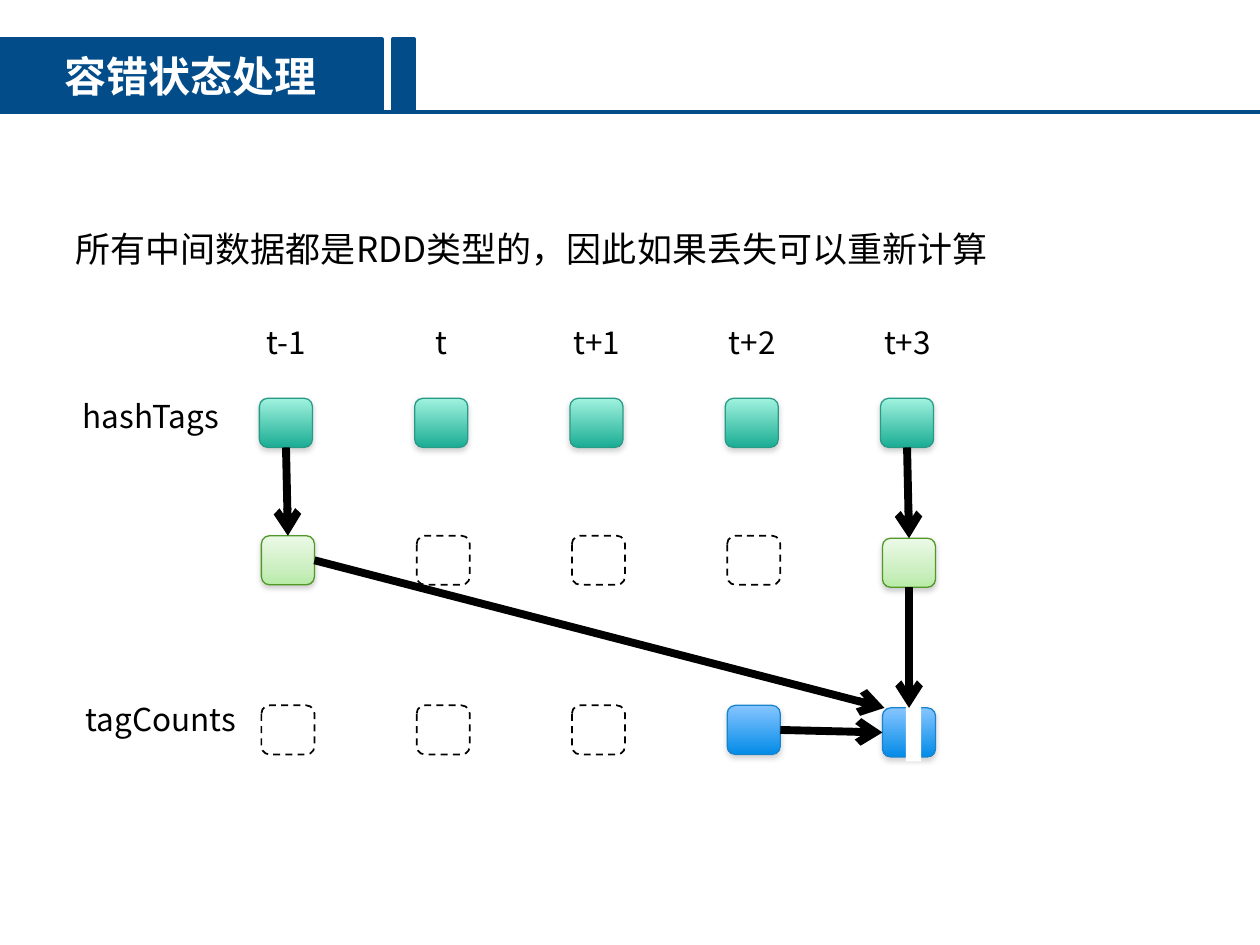
"""Build the slide on recomputing lost RDD state in a tag-counting stream."""
from copy import deepcopy
from dataclasses import dataclass

from lxml.etree import SubElement
from pptx import Presentation
from pptx.dml.color import RGBColor as RGB
from pptx.enum.dml import MSO_LINE as Dash
from pptx.enum.shapes import MSO_CONNECTOR as Conn, MSO_SHAPE as Shape
from pptx.enum.text import MSO_ANCHOR as Anchor, MSO_AUTO_SIZE as AutoSize, PP_ALIGN as Align
from pptx.oxml.ns import qn
from pptx.util import Cm, Pt


@dataclass(frozen=True)
class Theme:
    font: str = "Noto Sans CJK SC"
    navy: str = "024C89"
    black: str = "000000"
    white: str = "FFFFFF"
    shadow: str = "808080"
    title: int = 24
    body: int = 20
    label: int = 18


T = Theme()
BLOCKS = {
    "teal": ("289B88", 35, [(0, "A0F2DE"), (1, "1BAD94")]),
    "green": ("529827", 38, [(0, "EBFAE7"), (0.65, "CDEFC2"), (1, "B7EBA7")]),
    "blue": ("1884CD", 35, [(0, "86C5FF"), (1, "038BE7")]),
}


def add_run(p, text, size, color, bold=False):
    r = p.add_run()
    r.text = text
    r.font.name, r.font.size, r.font.bold = T.font, Pt(size), bold
    r.font.color.rgb = RGB.from_string(color)
    SubElement(r.font._element, qn("a:ea"), typeface=T.font)


def add_line(x1, y1, x2, y2, color, width):
    line = s.shapes.add_connector(Conn.STRAIGHT, Cm(x1), Cm(y1), Cm(x2), Cm(y2))
    line.line.color.rgb = RGB.from_string(color)
    line.line.width = Pt(width)
    SubElement(line._element.spPr, qn("a:effectLst"))
    return line


prs = Presentation()
prs.slide_width, prs.slide_height = Cm(25.4), Cm(19.05)
s = prs.slides.add_slide(prs.slide_layouts[1])

title, body = s.placeholders
title.left, title.top, title.width, title.height = Cm(0), Cm(0.79), Cm(7.7), Cm(1.47)
title.fill.solid()
title.fill.fore_color.rgb = RGB.from_string(T.navy)
title.line.color.rgb = RGB.from_string(T.navy)
title.line.width = Pt(2)
tf = title.text_frame
tf.auto_size, tf.vertical_anchor = AutoSize.NONE, Anchor.MIDDLE
p = tf.paragraphs[0]
p.alignment = Align.CENTER
add_run(p, "容错状态处理", T.title, T.white, True)

body.left, body.top, body.width, body.height = Cm(1.27), Cm(4.45), Cm(23.77), Cm(1.8)
tf = body.text_frame
tf.auto_size = AutoSize.NONE
p = tf.paragraphs[0]
pPr = p._p.get_or_add_pPr()
pPr.set("marL", "0")
pPr.set("indent", "0")
SubElement(pPr, qn("a:buNone"))
p.space_before = Pt(0)
add_run(p, "所有中间数据都是RDD类型的，因此如果丢失可以重新计算", T.body, T.black)

add_line(0, 2.26, 25.4, 2.26, T.navy, 2)

STEP = 3.13
labels = [(5.05 + i * STEP, 6.46, 1.45, text, True)
          for i, text in enumerate(("t-1", "t", "t+1", "t+2", "t+3"))]
labels += [(1.57, 7.95, 3.02, "hashTags", False), (1.63, 14.07, 3.38, "tagCounts", False)]
for x, y, width, text, centred in labels:
    tf = s.shapes.add_textbox(Cm(x), Cm(y), Cm(width), Cm(0.89)).text_frame
    tf.word_wrap = centred
    tf.margin_left = tf.margin_right = Cm(0 if centred else 0.1)
    tf.margin_top = tf.margin_bottom = Cm(0.05)
    p = tf.paragraphs[0]
    p.alignment = Align.CENTER if centred else Align.LEFT
    add_run(p, text, T.label, T.black)

rows = [
    (5.23, 8.03, 0, ["teal"] * 5),
    (5.27, 10.8, 0.05, ["green", "lost", "lost", "lost", "green"]),
    (5.27, 14.22, 0.05, ["lost", "lost", "lost", "blue", "blue"]),
]
grid = {}
for row, (left, top, drop, kinds) in enumerate(rows):
    for col, kind in enumerate(kinds):
        y = top + (drop if col == 4 else 0)
        sp = s.shapes.add_shape(Shape.FLOWCHART_ALTERNATE_PROCESS,
                                Cm(left + col * STEP), Cm(y), Cm(1.07), Cm(0.99))
        grid[row, col] = sp
        sp.shadow.inherit = False
        if kind == "lost":
            sp.fill.solid()
            sp.fill.fore_color.rgb = RGB.from_string(T.white)
            sp.line.color.rgb = RGB.from_string(T.black)
            sp.line.width, sp.line.dash_style = Pt(1), Dash.DASH
            continue
        edge, alpha, stops = BLOCKS[kind]
        sp.line.color.rgb = RGB.from_string(edge)
        sp.line.width = Pt(0.75)
        sp.fill.gradient()
        sp.fill.gradient_angle = 270
        spPr = sp._element.spPr
        gs_list = spPr.find(".//" + qn("a:gsLst"))
        for _ in stops[2:]:
            gs_list.insert(1, deepcopy(gs_list[0]))
        for stop, (position, color) in zip(sp.fill.gradient_stops, stops):
            stop.position = position
            stop.color.rgb = RGB.from_string(color)
        shadow = SubElement(spPr.find(qn("a:effectLst")), qn("a:outerShdw"), blurRad=str(Pt(3.1)),
                            dist=str(Pt(1.8)), dir="5400000", rotWithShape="0")
        tint = SubElement(shadow, qn("a:srgbClr"), val=T.shadow)
        SubElement(tint, qn("a:alpha"), val=str(alpha * 1000))

bars = [(7.92, 0.79, 0.43, 1.47, T.navy), (18.26, 14.07, 0.31, 1.28, T.white)]
for x, y, width, height, color in bars:
    sp = s.shapes.add_shape(Shape.RECTANGLE, Cm(x), Cm(y), Cm(width), Cm(height))
    sp.shadow.inherit = False
    sp.fill.solid()
    sp.fill.fore_color.rgb = RGB.from_string(color)
    if color == T.navy:
        sp.line.color.rgb = RGB.from_string(color)
        sp.line.width = Pt(2)
    else:
        sp.line.fill.background()

arrows = [
    ((0, 0), 2, (1, 0), 0),
    ((0, 4), 2, (1, 4), 0),
    ((1, 4), 2, (2, 4), 0),
    ((2, 3), 3, (2, 4), 1),
    ((1, 0), 3, None, None),
]
for start, start_side, end, end_side in arrows:
    arrow = add_line(0, 0, 17.83, 14.27, T.black, 4.5)
    arrow.begin_connect(grid[start], start_side)
    if end:
        arrow.end_connect(grid[end], end_side)
    SubElement(arrow._element.spPr.find(qn("a:ln")), qn("a:tailEnd"), type="arrow")

prs.save("out.pptx")
